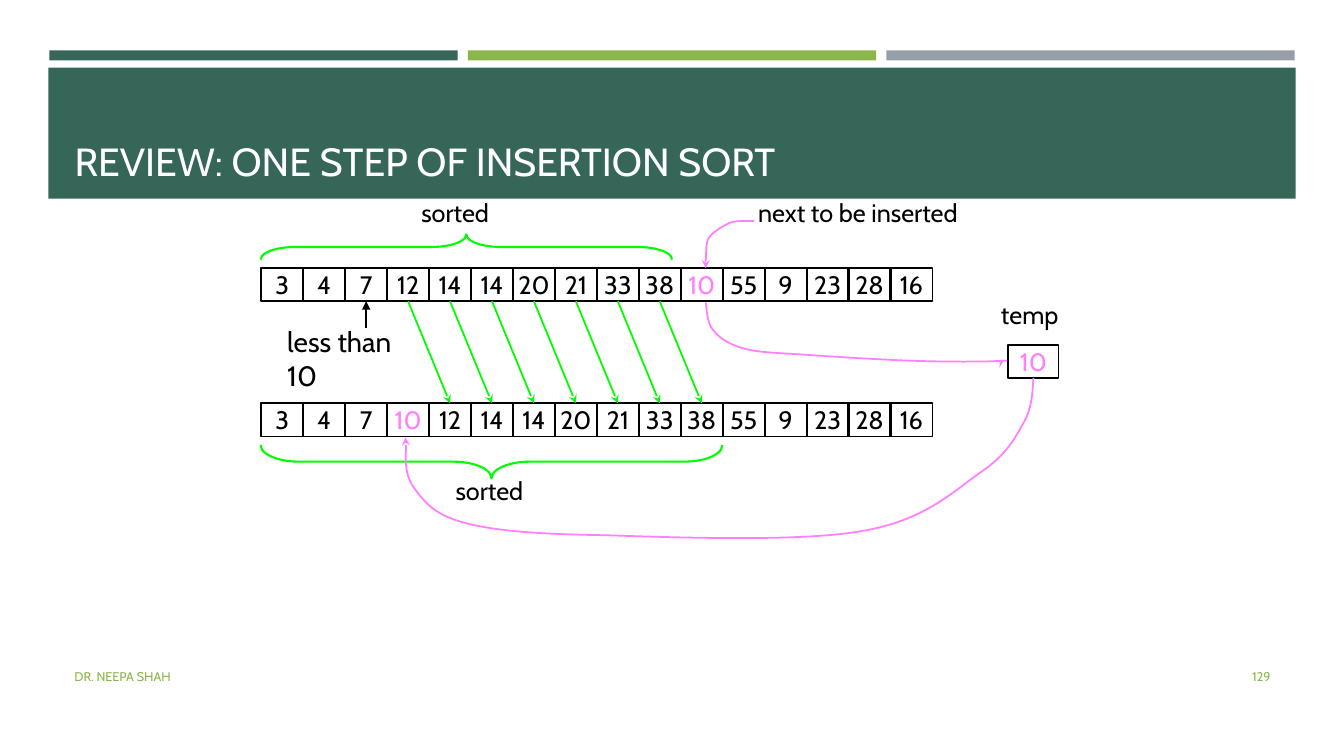
from dataclasses import dataclass

from lxml import etree
from pptx import Presentation
from pptx import util as u
from pptx.dml.color import RGBColor
from pptx.enum import shapes, text
from pptx.oxml.ns import qn


@dataclass(frozen=True)
class Theme:
    """Colours, type sizes and line weights of the deck."""
    font: str = "Cabin"
    black: RGBColor = RGBColor(0, 0, 0)
    white: RGBColor = RGBColor(255, 255, 255)
    teal: RGBColor = RGBColor(0x36, 0x66, 0x58)
    lime: RGBColor = RGBColor(0x8C, 0xB6, 0x4A)
    grey: RGBColor = RGBColor(0x96, 0x9F, 0xA7)
    pink: RGBColor = RGBColor(0xFF, 0x7F, 0xFF)
    green: RGBColor = RGBColor(0x00, 0xFD, 0x00)
    title: int = 28
    note: int = 20
    body: int = 18
    footer: int = 9
    thin: float = 1.25
    medium: float = 1.5
    thick: float = 1.75


THEME = Theme()
CELL_PITCH, CELL_WIDTH, CELL_HEIGHT = 0.416, 0.42, 0.33
BEFORE = [3, 4, 7, 12, 14, 14, 20, 21, 33, 38, 10, 55, 9, 23, 28, 16]
AFTER = [3, 4, 7, 10, 12, 14, 14, 20, 21, 33, 38, 55, 9, 23, 28, 16]
INSERTED = 10


def inches(*values):
    """Convert numbers to lengths in inches."""
    return [u.Inches(value) for value in values]


def style_text(frame, words, size, color, align=text.PP_ALIGN.LEFT,
               anchor=text.MSO_ANCHOR.TOP):
    """Write one formatted paragraph into a text frame."""
    frame.text = words
    frame.vertical_anchor = anchor
    para = frame.paragraphs[0]
    para.alignment = align
    para.font.name = THEME.font
    para.font.size = u.Pt(size)
    para.font.color.rgb = color


def add_label(slide, box, words, size=THEME.body, color=THEME.black, **layout):
    """Add a wrapping text box."""
    frame = slide.shapes.add_textbox(*inches(*box)).text_frame
    frame.word_wrap = True
    style_text(frame, words, size, color, **layout)


def add_outline(slide, kind, box, color, weight):
    """Add an unfilled preset shape with a plain outline."""
    shape = slide.shapes.add_shape(kind, *inches(*box))
    shape.shadow.inherit = False
    shape.fill.background()
    shape.line.color.rgb = color
    shape.line.width = u.Pt(weight)
    return shape


def add_bar(slide, box, color):
    """Add a filled bar without an outline."""
    bar = slide.shapes.add_shape(shapes.MSO_SHAPE.RECTANGLE, *inches(*box))
    bar.shadow.inherit = False
    bar.fill.solid()
    bar.fill.fore_color.rgb = color
    bar.line.fill.background()


def add_cell(slide, box, number):
    """Add an array cell, with the inserted number in pink."""
    cell = add_outline(slide, shapes.MSO_SHAPE.RECTANGLE, box, THEME.black, THEME.thin)
    cell.text_frame.word_wrap = False
    color = THEME.pink if number == INSERTED else THEME.black
    style_text(cell.text_frame, str(number), THEME.body, color,
               text.PP_ALIGN.CENTER, text.MSO_ANCHOR.MIDDLE)
    return cell


def add_row(slide, left, top, numbers):
    """Add a row of evenly spaced array cells."""
    return [add_cell(slide, (left + index * CELL_PITCH, top, CELL_WIDTH, CELL_HEIGHT), number)
            for index, number in enumerate(numbers)]


def add_brace(slide, box, rotation, bend):
    """Add a green brace turned to lie along a row."""
    brace = add_outline(slide, shapes.MSO_SHAPE.LEFT_BRACE, box, THEME.green, THEME.medium)
    brace.rotation = rotation
    brace.adjustments[0] = bend


def add_head(line, kind):
    """Put an arrowhead at the end of a line."""
    etree.SubElement(line.line._get_or_add_ln(), qn("a:tailEnd"), type=kind)


def add_arrow(slide, start, end, color, weight, kind):
    """Add a straight arrow between two points."""
    arrow = slide.shapes.add_connector(shapes.MSO_CONNECTOR.STRAIGHT, *inches(*start, *end))
    arrow.line.color.rgb = color
    arrow.line.width = u.Pt(weight)
    add_head(arrow, kind)
    etree.SubElement(arrow._element.spPr, qn("a:effectLst"))
    return arrow


def add_curve(slide, left, top, points):
    """Add a pink curved arrow from Bezier points relative to a corner."""
    places = [tuple(inches(left + x, top + y)) for x, y in points]
    builder = slide.shapes.build_freeform(*places[0])
    builder.add_line_segments(places[1:], close=False)
    curve = builder.convert_to_shape()
    curve.shadow.inherit = False
    curve.fill.background()
    curve.line.color.rgb = THEME.pink
    curve.line.width = u.Pt(THEME.thin)
    add_head(curve, "stealth")
    outline = next(curve._element.iter(qn("a:path")))
    segments = outline.findall(qn("a:lnTo"))
    for index in range(0, len(segments), 3):
        bezier = etree.SubElement(outline, qn("a:cubicBezTo"))
        for segment in segments[index:index + 3]:
            bezier.append(segment[0])
            outline.remove(segment)


def draw_header(slide, left, top, words):
    """Draw the three accent bars and the title band."""
    for index, color in enumerate((THEME.teal, THEME.lime, THEME.grey)):
        add_bar(slide, (left + 0.01 + index * 4.15, top, 4.05, 0.1), color)
    add_bar(slide, (left, top + 0.17, 12.37, 1.3), THEME.teal)
    title = slide.shapes.title
    title.left, title.top, title.width, title.height = inches(left + 0.16, top + 0.27, 12.06, 1.11)
    style_text(title.text_frame, words, THEME.title, THEME.white,
               anchor=text.MSO_ANCHOR.BOTTOM)
    title.text_frame.auto_size = text.MSO_AUTO_SIZE.NONE
    slide.shapes._spTree.append(title._element)


def draw_before(slide, left, top):
    """Draw the array before insertion with its labels."""
    cells = add_row(slide, left, top, BEFORE)
    add_brace(slide, (left + 1.91, top - 2.25, 0.25, 4.08), 90, 1.36)
    add_label(slide, (left + 1.49, top - 0.75, 1.25, 0.4), "sorted")
    add_label(slide, (left + 4.83, top - 0.75, 3, 0.4), "next to be inserted")
    add_curve(slide, left + 4.4, top - 0.48, [
        (0.49, 0.01), (0.45, 0.02), (0.33, 0), (0.25, 0.03), (0.18, 0.06), (0.08, 0.12),
        (0.04, 0.18), (0, 0.25), (0.02, 0.35), (0.01, 0.4), (0, 0.44), (0, 0.47), (0.01, 0.48)])
    pointer = add_arrow(slide, (left + 1.04, top + 0.59), (left + 1.04, top + 0.34),
                        THEME.black, THEME.thick, "triangle")
    pointer.begin_x = pointer.end_x = cells[2].left + cells[2].width // 2
    pointer.end_connect(cells[2], 2)
    add_label(slide, (left + 0.16, top + 0.51, 1.58, 0.43), "less than 10", THEME.note)
    return cells


def draw_after(slide, left, top):
    """Draw the array after insertion with its brace."""
    cells = add_row(slide, left, top, AFTER)
    add_brace(slide, (left + 2.12, top - 1.71, 0.33, 4.58), 270, 1.15)
    add_label(slide, (left + 1.83, top + 0.67, 1.42, 0.4), "sorted")
    return cells


def draw_shifts(slide, before, after):
    """Join each shifted number to its new cell."""
    for source, target in zip(before[3:10], after[4:11]):
        arrow = add_arrow(slide, (0, 0), (1, 1), THEME.green, THEME.thin, "stealth")
        arrow.begin_connect(source, 2)
        arrow.end_connect(target, 0)


def draw_temp(slide, left, top):
    """Draw the temporary cell and the curves in and out of it."""
    add_cell(slide, (left, top, 0.5, CELL_HEIGHT), INSERTED)
    add_label(slide, (left - 0.17, top - 0.5, 1, 0.4), "temp")
    add_curve(slide, left - 3, top - 0.42, [
        (0, 0), (0.01, 0.05), (0.01, 0.2), (0.07, 0.27), (0.13, 0.35), (0.23, 0.42),
        (0.39, 0.46), (0.54, 0.5), (0.72, 0.5), (1, 0.52), (1.29, 0.54), (1.76, 0.57),
        (2.08, 0.58), (2.4, 0.59), (2.77, 0.59), (2.92, 0.58), (3.06, 0.58), (2.95, 0.57),
        (2.96, 0.57)])
    add_curve(slide, left - 6, top + 0.33, [
        (6.25, 0), (6.24, 0.07), (6.25, 0.27), (6.16, 0.43), (6.07, 0.59), (5.99, 0.76),
        (5.72, 0.94), (5.45, 1.13), (5.16, 1.42), (4.54, 1.52), (3.92, 1.63), (2.65, 1.58),
        (1.99, 1.56), (1.34, 1.55), (0.93, 1.52), (0.62, 1.44), (0.3, 1.36), (0.2, 1.22),
        (0.1, 1.08), (0, 0.93), (0.04, 0.69), (0.02, 0.59)])


def draw_footer(slide, left, top):
    """Draw the author and the page number."""
    style = dict(size=THEME.footer, color=THEME.lime, anchor=text.MSO_ANCHOR.MIDDLE)
    add_label(slide, (left, top, 7.56, 0.4), "DR. NEEPA SHAH", **style)
    add_label(slide, (left + 10.91, top, 1.15, 0.4), "129",
              align=text.PP_ALIGN.RIGHT, **style)


def main():
    """Build and save the deck."""
    deck = Presentation()
    deck.slide_width, deck.slide_height = inches(13.33, 7.5)
    slide = deck.slides.add_slide(deck.slide_layouts[5])
    draw_header(slide, 0.48, 0.5, "REVIEW: ONE STEP OF INSERTION SORT")
    before = draw_before(slide, 2.59, 2.66)
    after = draw_after(slide, 2.59, 4)
    draw_shifts(slide, before, after)
    draw_temp(slide, 10, 3.42)
    draw_footer(slide, 0.64, 6.51)
    deck.save("out.pptx")


if __name__ == "__main__":
    main()
